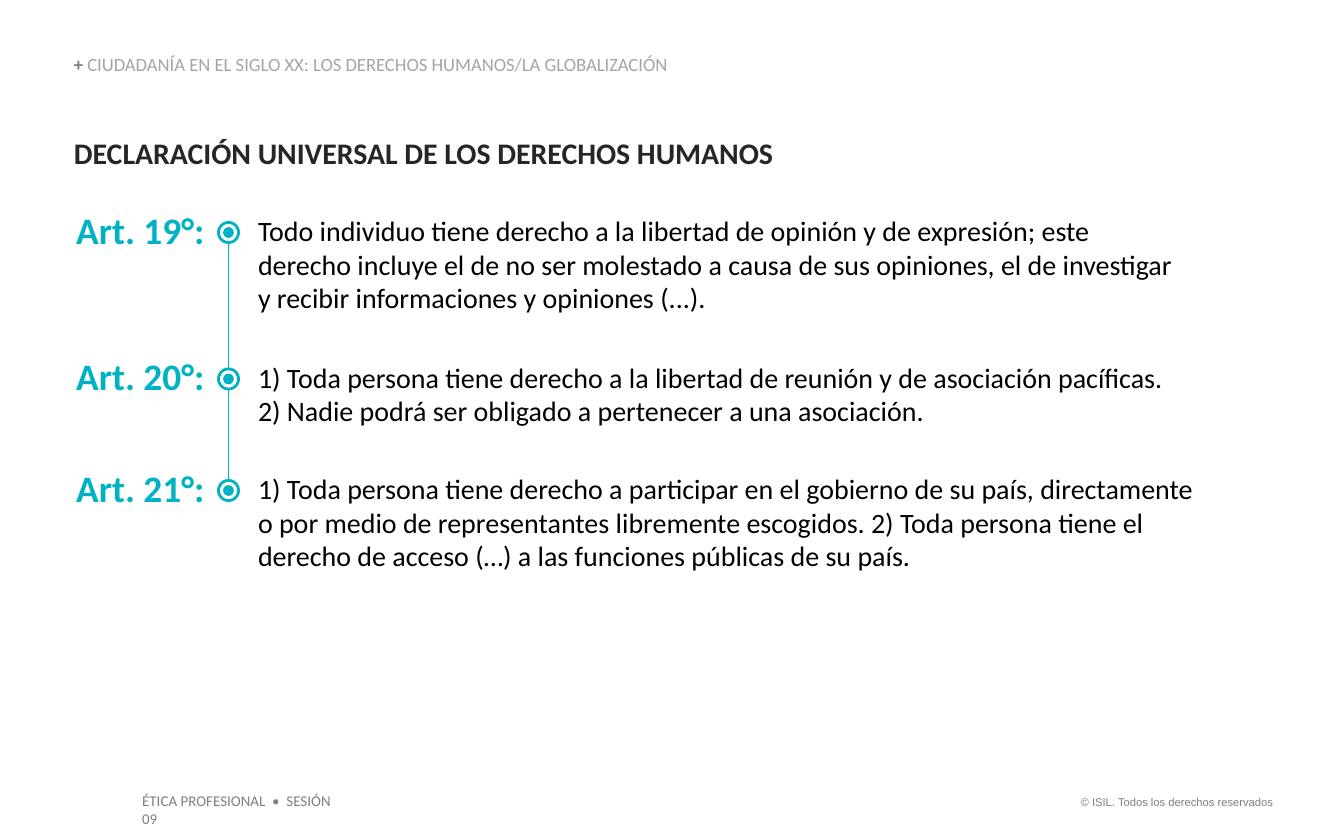
from pptx import Presentation
from pptx.dml.color import RGBColor
from pptx.enum.shapes import MSO_CONNECTOR, MSO_SHAPE
from pptx.enum.text import MSO_ANCHOR, PP_ALIGN
from pptx.oxml.ns import qn
from pptx.util import Inches, Pt
from lxml import etree

STRAIGHT = MSO_CONNECTOR.STRAIGHT
OVAL = MSO_SHAPE.OVAL
BOTTOM = MSO_ANCHOR.BOTTOM
LEFT, CENTER, RIGHT = PP_ALIGN.LEFT, PP_ALIGN.CENTER, PP_ALIGN.RIGHT

TEAL = RGBColor(0x00, 0xB2, 0xC3)
WHITE = RGBColor(0xFF, 0xFF, 0xFF)
BLACK = RGBColor(0x00, 0x00, 0x00)
CHARCOAL = RGBColor(0x26, 0x26, 0x26)
GRAY = RGBColor(0x7F, 0x7F, 0x7F)
LIGHT_GRAY = RGBColor(0xA5, 0xA5, 0xA5)

MARGIN = 0.55
AXIS_X = 1.7
BODY_X = 1.92
RING_SIZE = 0.15
DOT_SIZE = 0.08

ARTICLES = [
    (1.73, 6.93, 0.76, "Art. 19°:",
     "Todo individuo tiene derecho a la libertad de opinión y de expresión; este "
     "derecho incluye el de no ser molestado a causa de sus opiniones, el de "
     "investigar y recibir informaciones y opiniones (...)."),
    (2.82, 6.93, 0.5, "Art. 20°:",
     "1) Toda persona tiene derecho a la libertad de reunión y de asociación "
     "pacíficas. 2) Nadie podrá ser obligado a pertenecer a una asociación."),
    (3.65, 7, 0.76, "Art. 21°:",
     "1) Toda persona tiene derecho a participar en el gobierno de su país, "
     "directamente o por medio de representantes libremente escogidos. 2) Toda "
     "persona tiene el derecho de acceso (…) a las funciones públicas de su país."),
]


def style_span(span, size, color, bold=False, font="Calibri"):
    """Set the font of one run."""
    span.font.name = font
    span.font.size = Pt(size)
    span.font.bold = bold
    span.font.color.rgb = color


def add_box(page, left, top, width, height, inset_x=0, inset_y=0):
    """Add an empty wrapping text box."""
    box = page.shapes.add_textbox(Inches(left), Inches(top), Inches(width), Inches(height))
    frame = box.text_frame
    frame.word_wrap = True
    frame.margin_left = frame.margin_right = Inches(inset_x)
    frame.margin_top = frame.margin_bottom = Inches(inset_y)
    return box


def write(box, text, size, color, bold=False, font="Calibri", align=LEFT):
    """Fill a box with one paragraph in one style."""
    box.text_frame.text = text
    para = box.text_frame.paragraphs[0]
    para.alignment = align
    style_span(para.runs[0], size, color, bold, font)


def add_breadcrumb(page):
    """Add the course topic line at the top."""
    frame = add_box(page, MARGIN, 0.41, 5.23, 0.15).text_frame
    frame.vertical_anchor = BOTTOM
    para = frame.paragraphs[0]
    para.line_spacing = 0.9
    for text, color, bold in [
        ("+ ", GRAY, True),
        ("CIUDADANÍA EN EL SIGLO XX: LOS DERECHOS HUMANOS/LA GLOBALIZACIÓN", LIGHT_GRAY, False),
    ]:
        span = para.add_run()
        span.text = text
        style_span(span, 10, color, bold)


def add_timeline(page):
    """Add the vertical line from the first marker to the last."""
    x = Inches(AXIS_X)
    start = Inches(ARTICLES[0][0] + RING_SIZE / 2)
    end = Inches(ARTICLES[-1][0] - RING_SIZE / 2)
    line = page.shapes.add_connector(STRAIGHT, x, start, x, end)
    line.line.color.rgb = TEAL
    line.line.width = Pt(1)
    etree.SubElement(line._element.spPr, qn("a:effectLst"))


def add_circle(group, center_y, size, fill):
    """Add a circle centred on the timeline."""
    circle = group.shapes.add_shape(
        OVAL, Inches(AXIS_X - size / 2), Inches(center_y - size / 2), Inches(size), Inches(size))
    circle.shadow.inherit = False
    circle.fill.solid()
    circle.fill.fore_color.rgb = fill
    return circle


def add_marker(page, center_y):
    """Add a grouped ring and dot."""
    group = page.shapes.add_group_shape()
    ring = add_circle(group, center_y, RING_SIZE, WHITE)
    ring.line.color.rgb = TEAL
    ring.line.width = Pt(1.5)
    dot = add_circle(group, center_y, DOT_SIZE, TEAL)
    dot.line.fill.background()


def add_article(page, center_y, width, height, label, text):
    """Add an article's label, marker and wording."""
    body_box = add_box(page, BODY_X, center_y - 0.14, width, height)
    write(body_box, text, 15, BLACK)
    label_box = add_box(page, MARGIN, center_y - 0.19, 0.99, 0.34)
    write(label_box, label, 20, TEAL, bold=True, align=CENTER)
    add_marker(page, center_y)


def add_footer(page):
    """Add the copyright line and the session name."""
    rights_box = add_box(page, 7.88, 5.87, 1.69, 0.2, 0.1, 0.05)
    write(rights_box, "© ISIL. Todos los derechos reservados", 6, GRAY, font="Arial", align=RIGHT)
    session_box = add_box(page, 0.96, 5.84, 1.74, 0.24, 0.1, 0.05)
    write(session_box, "ÉTICA PROFESIONAL  •  SESIÓN 09", 8, GRAY)


def main():
    """Build and save the slide."""
    deck = Presentation()
    deck.slide_width, deck.slide_height = Inches(10), Inches(6.25)
    page = deck.slides.add_slide(deck.slide_layouts[6])
    add_footer(page)
    add_breadcrumb(page)
    title_box = add_box(page, MARGIN, 1, 6.55, 0.27)
    write(title_box, "DECLARACIÓN UNIVERSAL DE LOS DERECHOS HUMANOS", 16, CHARCOAL, bold=True)
    add_timeline(page)
    for article in ARTICLES:
        add_article(page, *article)
    deck.save("out.pptx")


if __name__ == "__main__":
    main()
